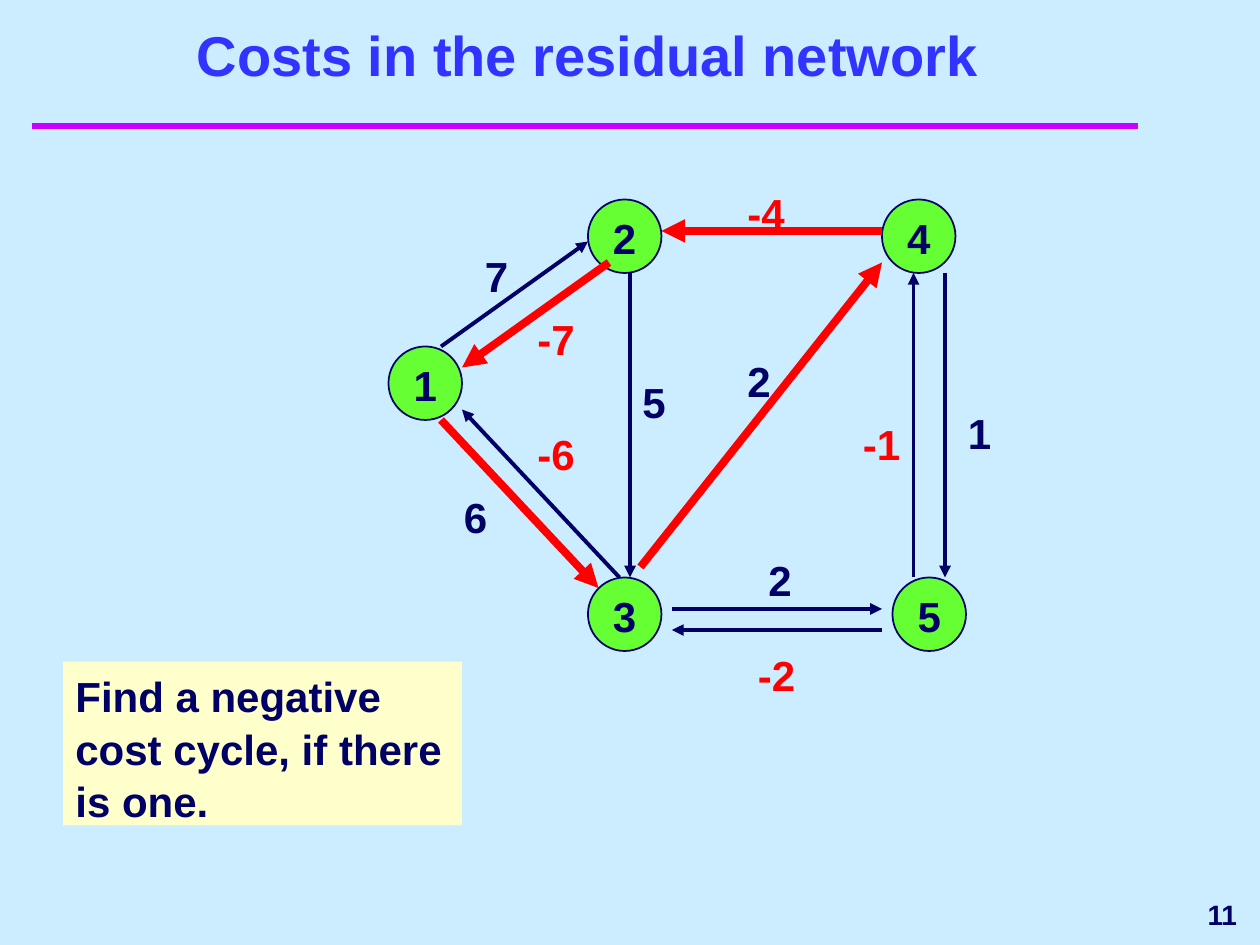
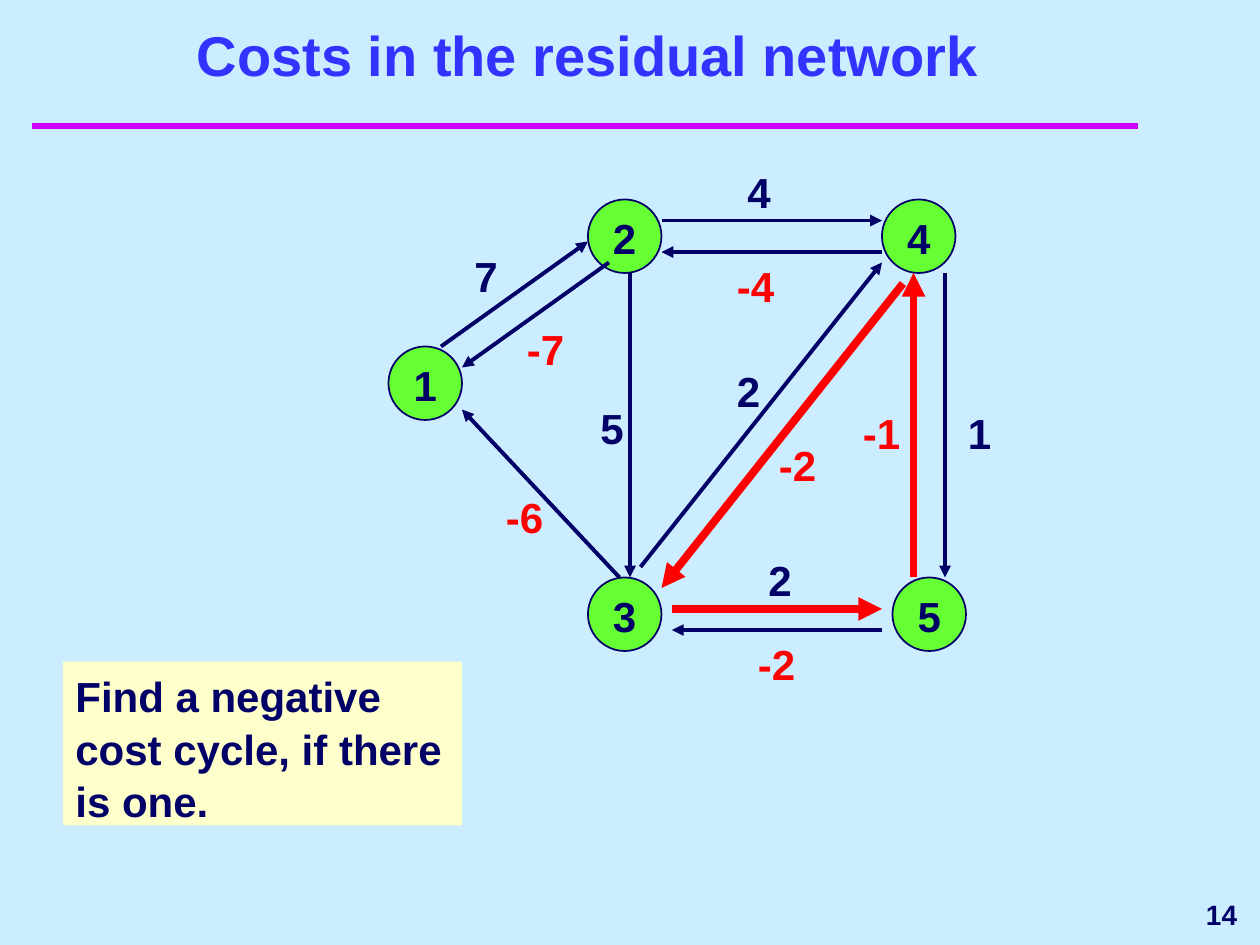
from dataclasses import dataclass
from typing import NamedTuple

from lxml.etree import SubElement
from pptx import Presentation
from pptx.dml.color import RGBColor
from pptx.enum.shapes import MSO_CONNECTOR, MSO_SHAPE
from pptx.enum.text import MSO_ANCHOR, MSO_AUTO_SIZE, PP_ALIGN
from pptx.oxml.ns import qn
from pptx.util import Pt

EMU_PER_PX = 9525


@dataclass(frozen=True)
class Theme:
    """Colours, type sizes and line widths of the deck."""
    font: str = "Arial"
    back: str = "CCECFF"
    title: str = "3333FF"
    rule: str = "CC00FF"
    ink: str = "000066"
    node: str = "66FF33"
    note: str = "FFFFCC"
    hot: str = "FF0000"
    title_pt: int = 32
    body_pt: int = 24
    number_pt: int = 16
    outline_pt: float = 1
    rule_pt: float = 4
    arc_pt: float = 2.25
    hot_pt: float = 4.5
    leading: float = 1.05


class Box(NamedTuple):
    """A rectangle in px."""
    x: int
    y: int
    w: int
    h: int


class Route(NamedTuple):
    """A straight path in px from tail to head."""
    x1: int
    y1: int
    x2: int
    y2: int


class Arc(NamedTuple):
    """A residual arc, its cost, the cost label corner and cycle membership."""
    route: str
    cost: int
    x: int
    y: int
    in_cycle: bool = False


class Network(NamedTuple):
    """One slide: its number and its arcs."""
    number: int
    arcs: list[Arc]


T = Theme()
NODE_SIZE = 56
NODES = {"1": (296, 264), "2": (448, 152), "4": (672, 152), "3": (448, 440), "5": (680, 440)}
ROUTES = {
    "1-2": Route(336, 264, 448, 184),
    "2-1": Route(464, 200, 352, 280),
    "1-3": Route(336, 320, 456, 448),
    "3-1": Route(472, 440, 352, 312),
    "2-3": Route(480, 208, 480, 440),
    "2-4": Route(504, 168, 672, 168),
    "4-2": Route(672, 192, 504, 192),
    "4-2 alone": Route(672, 176, 504, 176),
    "3-4": Route(488, 432, 672, 200),
    "4-3": Route(688, 216, 504, 448),
    "4-5": Route(720, 208, 720, 440),
    "5-4": Route(696, 440, 696, 208),
    "3-5": Route(512, 464, 672, 464),
    "5-3": Route(672, 480, 512, 480),
}
NETWORKS = [
    Network(11, [
        Arc("1-2", 7, 360, 184),
        Arc("3-1", -6, 400, 320),
        Arc("2-3", 5, 480, 280),
        Arc("4-5", 1, 728, 304),
        Arc("5-4", -1, 648, 312),
        Arc("3-5", 2, 576, 416),
        Arc("5-3", -2, 568, 488),
        Arc("4-2 alone", -4, 560, 136, True),
        Arc("1-3", 6, 344, 368, True),
        Arc("3-4", 2, 560, 264, True),
        Arc("2-1", -7, 400, 232, True),
    ]),
    Network(14, [
        Arc("1-2", 7, 352, 184),
        Arc("2-1", -7, 392, 240),
        Arc("3-1", -6, 376, 368),
        Arc("2-3", 5, 448, 300),
        Arc("2-4", 4, 560, 120),
        Arc("4-2", -4, 552, 192),
        Arc("3-4", 2, 552, 272),
        Arc("4-5", 1, 728, 304),
        Arc("5-3", -2, 568, 480),
        Arc("3-5", 2, 576, 416, True),
        Arc("5-4", -1, 648, 304, True),
        Arc("4-3", -2, 584, 328, True),
    ]),
]


def emu(*lengths: int) -> list[int]:
    """Turn px into EMU."""
    return [n * EMU_PER_PX for n in lengths]


def rgb(code: str) -> RGBColor:
    """Turn a hex code into a colour."""
    return RGBColor.from_string(code)


def write(shape, text: str, size: int, color: str, align=PP_ALIGN.LEFT,
          anchor=MSO_ANCHOR.TOP, wrap: bool = True, leading: float = T.leading) -> None:
    """Put one bold run into a shape."""
    tf = shape.text_frame
    tf.word_wrap = wrap
    tf.auto_size = MSO_AUTO_SIZE.NONE
    tf.vertical_anchor = anchor
    p = tf.paragraphs[0]
    p.alignment = align
    p.line_spacing = leading
    r = p.add_run()
    r.text = text
    r.font.name, r.font.size, r.font.bold = T.font, Pt(size), True
    r.font.color.rgb = rgb(color)


def add_text(s, box: Box, text: str, size: int, color: str, **style) -> None:
    """Add a text box."""
    write(s.shapes.add_textbox(*emu(*box)), text, size, color, **style)


def add_filled(s, kind: MSO_SHAPE, box: Box, fill: str, outline: str | None = None):
    """Add a flat preset shape with an optional outline."""
    sp = s.shapes.add_shape(kind, *emu(*box))
    sp.shadow.inherit = False
    sp.fill.solid()
    sp.fill.fore_color.rgb = rgb(fill)
    if outline:
        sp.line.color.rgb = rgb(outline)
        sp.line.width = Pt(T.outline_pt)
    else:
        sp.line.fill.background()
    return sp


def add_line(s, route: Route, color: str, width: float, arrow: bool = True) -> None:
    """Add a straight line, with an arrowhead at its end if wanted."""
    c = s.shapes.add_connector(MSO_CONNECTOR.STRAIGHT, *emu(*route))
    c.line.color.rgb = rgb(color)
    c.line.width = Pt(width)
    if arrow:
        SubElement(c.line._get_or_add_ln(), qn("a:tailEnd"), type="triangle")
    SubElement(c._element.spPr, qn("a:effectLst"))


def add_frame(prs, number: int):
    """Add a slide with background, title, rule and slide number."""
    s = prs.slides.add_slide(prs.slide_layouts[5])
    s.background.fill.solid()
    s.background.fill.fore_color.rgb = rgb(T.back)
    add_line(s, Route(24, 96, 867, 96), T.rule, T.rule_pt, arrow=False)
    title = s.shapes.title
    title.left, title.top, title.width, title.height = emu(40, 32, 816, 40)
    write(title, "Costs in the residual network", T.title_pt, T.title,
          align=PP_ALIGN.CENTER, anchor=MSO_ANCHOR.BOTTOM, leading=1.0)
    add_text(s, Box(768, 672, 184, 48), str(number), T.number_pt, T.ink,
             align=PP_ALIGN.RIGHT, anchor=MSO_ANCHOR.MIDDLE)
    return s


def add_network(s, arcs: list[Arc]) -> None:
    """Draw nodes, arcs and costs, with the negative cycle on top."""
    for name, (x, y) in NODES.items():
        sp = add_filled(s, MSO_SHAPE.OVAL, Box(x, y, NODE_SIZE, NODE_SIZE), T.node, T.ink)
        write(sp, name, T.body_pt, T.ink, align=PP_ALIGN.CENTER,
              anchor=MSO_ANCHOR.MIDDLE, wrap=False)
    for arc in arcs:
        add_text(s, Box(arc.x, arc.y, 56, 48), str(arc.cost), T.body_pt,
                 T.hot if arc.cost < 0 else T.ink)
    for arc in sorted(arcs, key=lambda a: a.in_cycle):
        color, width = (T.hot, T.hot_pt) if arc.in_cycle else (T.ink, T.arc_pt)
        add_line(s, ROUTES[arc.route], color, width)


def main() -> None:
    """Build the deck."""
    prs = Presentation()
    prs.slide_width, prs.slide_height = emu(960, 720)
    for network in NETWORKS:
        s = add_frame(prs, network.number)
        add_network(s, network.arcs)
        note = add_filled(s, MSO_SHAPE.RECTANGLE, Box(48, 504, 304, 125), T.note)
        write(note, "Find a negative cost cycle, if there is one.", T.body_pt, T.ink)
    prs.save("out.pptx")


if __name__ == "__main__":
    main()
